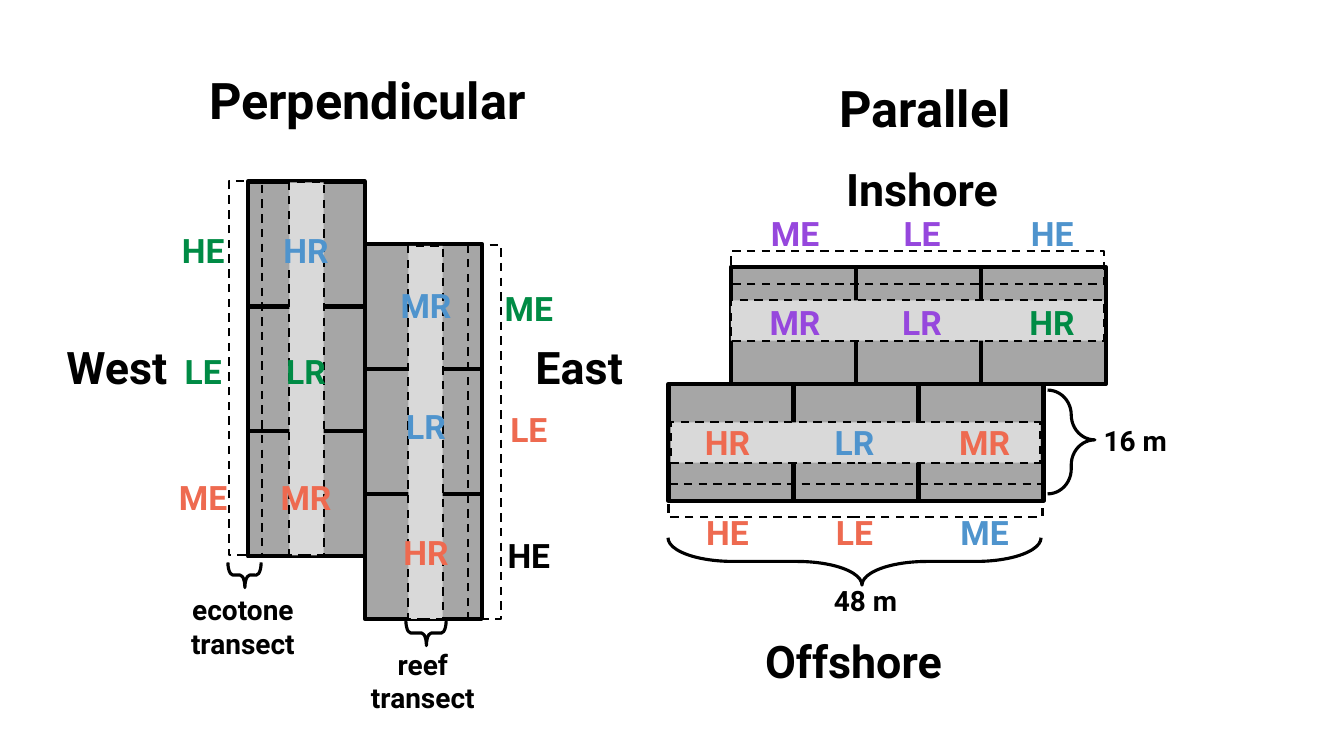
"""Draw the reef plot layouts, perpendicular and parallel to the shore."""
from dataclasses import dataclass

from pptx import Presentation
from pptx.dml.color import RGBColor
from pptx.enum.dml import MSO_LINE
from pptx.enum.shapes import MSO_SHAPE
from pptx.enum.text import MSO_ANCHOR, MSO_AUTO_SIZE, PP_ALIGN
from pptx.util import Emu, Pt

RECT = MSO_SHAPE.RECTANGLE
BRACE = MSO_SHAPE.RIGHT_BRACE
DASH = MSO_LINE.DASH
TOP = MSO_ANCHOR.TOP
FIXED = MSO_AUTO_SIZE.NONE
CENTER = PP_ALIGN.CENTER

SCALE = 9144
FONT = "Roboto"
BLACK, GREY, PALE = "000000", "A6A6A6", "D9D9D9"
GREEN, RED, BLUE, PURPLE = "008B45", "EE6A50", "4F94CD", "9647DD"
LONG, SHORT = 124, 116
ACROSS, DOWN = (0, 126, 255), (0, 120, 245)


@dataclass(frozen=True)
class Box:
    left: int
    top: int
    width: int
    height: int


@dataclass(frozen=True)
class Codes:
    left: int
    top: int
    items: tuple[tuple[str, str], ...]


@dataclass(frozen=True)
class Plot:
    left: int
    top: int
    flat: bool
    reef: Box
    edge: Box
    codes: tuple[Codes, Codes]


@dataclass(frozen=True)
class Label:
    text: str
    box: Box
    size: int


@dataclass(frozen=True)
class Brace:
    box: Box
    turn: int
    curve: float
    point: float


PLOTS = (
    Plot(725, 265, True, Box(725, 298, 370, 40), Box(725, 249, 370, 33), (
        Codes(753, 295, (("MR", PURPLE), ("LR", PURPLE), ("HR", GREEN))),
        Codes(753, 206, (("ME", PURPLE), ("LE", PURPLE), ("HE", BLUE))))),
    Plot(663, 381, True, Box(665, 419, 367, 40), Box(663, 480, 371, 33), (
        Codes(686, 414, (("HR", RED), ("LR", BLUE), ("MR", RED))),
        Codes(686, 503, (("HE", RED), ("LE", RED), ("ME", BLUE))))),
    Plot(362, 242, False, Box(405, 244, 34, 370), Box(464, 243, 33, 371), (
        Codes(387, 278, (("MR", BLUE), ("LR", BLUE), ("HR", RED))),
        Codes(489, 281, (("ME", GREEN), ("LE", RED), ("HE", BLACK))))),
    Plot(246, 180, False, Box(287, 181, 34, 370), Box(227, 180, 33, 371), (
        Codes(268, 223, (("HR", BLUE), ("LR", GREEN), ("MR", RED))),
        Codes(166, 223, (("HE", GREEN), ("LE", GREEN), ("ME", RED))))),
)

TITLE = Label("Perpendicular", Box(187, 64, 355, 71), 36)
LABELS = (
    Label("Parallel", Box(740, 72, 355, 71), 36),
    Label("Inshore", Box(737, 156, 355, 64), 32),
    Label("Offshore", Box(669, 624, 355, 64), 32),
    Label("West", Box(-56, 332, 344, 64), 32),
    Label("East", Box(397, 332, 355, 64), 32),
    Label("48 m", Box(811, 574, 95, 44), 20),
    Label("16 m", Box(1076, 415, 100, 44), 20),
    Label("ecotone transect", Box(161, 583, 160, 77), 20),
    Label("reef transect", Box(356, 637, 127, 77), 20),
)

BRACES = (
    Brace(Box(824, 372, 47, 370), 90, 1.37, 0.48),
    Brace(Box(1039, 387, 47, 103), 0, 1.37, 0.48),
    Brace(Box(230, 554, 25, 33), 90, 0.19, 0.49),
    Brace(Box(410, 608, 25, 40), 90, 0.19, 0.49),
)


def px(value: int) -> Emu:
    """Turn px into EMU."""
    return Emu(value * SCALE)


def rgb(tone: str) -> RGBColor:
    """Turn a hex string into a colour."""
    return RGBColor.from_string(tone)


def spans(box: Box) -> tuple[Emu, Emu, Emu, Emu]:
    """Give the place and size of a box in EMU."""
    return px(box.left), px(box.top), px(box.width), px(box.height)


def draw(slide, kind, box: Box, line: float, fill: str = ""):
    """Add an outlined shape, filled when a fill is given."""
    shape = slide.shapes.add_shape(kind, *spans(box))
    shape.shadow.inherit = False
    shape.line.color.rgb = rgb(BLACK)
    shape.line.width = Pt(line)
    if fill:
        shape.fill.solid()
        shape.fill.fore_color.rgb = rgb(fill)
    else:
        shape.fill.background()
    return shape


def write(shape, text: str, size: int, tone: str = BLACK) -> None:
    """Put bold centred text at the top of a shape."""
    frame = shape.text_frame
    frame.text = text
    frame.word_wrap = True
    frame.auto_size = FIXED
    frame.vertical_anchor = TOP
    para = frame.paragraphs[0]
    para.alignment = CENTER
    para.font.name = FONT
    para.font.size = Pt(size)
    para.font.bold = True
    para.font.color.rgb = rgb(tone)


def head(slide, label: Label) -> None:
    """Place and fill the title."""
    title = slide.shapes.title
    title.left, title.top, title.width, title.height = spans(label.box)
    write(title, label.text, label.size)


def note(slide, label: Label, tone: str = BLACK) -> None:
    """Add a text box."""
    box = slide.shapes.add_textbox(*spans(label.box))
    write(box, label.text, label.size, tone)


def plot(slide, item: Plot) -> None:
    """Draw three blocks with their transects and codes."""
    for step in range(3):
        if item.flat:
            block = Box(item.left + step * LONG, item.top, LONG, SHORT)
        else:
            block = Box(item.left, item.top + step * LONG, SHORT, LONG)
        draw(slide, RECT, block, 3, GREY)
    for strip, fill in ((item.reef, PALE), (item.edge, "")):
        draw(slide, RECT, strip, 1.5, fill).line.dash_style = DASH
    for row in item.codes:
        for (code, tone), over, down in zip(row.items, ACROSS, DOWN):
            left = row.left + over * item.flat
            top = row.top + down * (not item.flat)
            note(slide, Label(code, Box(left, top, 71, 50), 24), tone)


def brace(slide, item: Brace) -> None:
    """Draw a curly brace."""
    shape = draw(slide, BRACE, item.box, 2.25)
    shape.rotation = item.turn
    shape.adjustments[0] = item.curve
    shape.adjustments[1] = item.point


def main() -> None:
    """Build and save the slide."""
    deck = Presentation()
    deck.slide_width, deck.slide_height = px(1333), px(750)
    slide = deck.slides.add_slide(deck.slide_layouts[5])
    head(slide, TITLE)
    for item in PLOTS:
        plot(slide, item)
    for item in BRACES:
        brace(slide, item)
    for label in LABELS:
        note(slide, label)
    deck.save("out.pptx")


if __name__ == "__main__":
    main()
